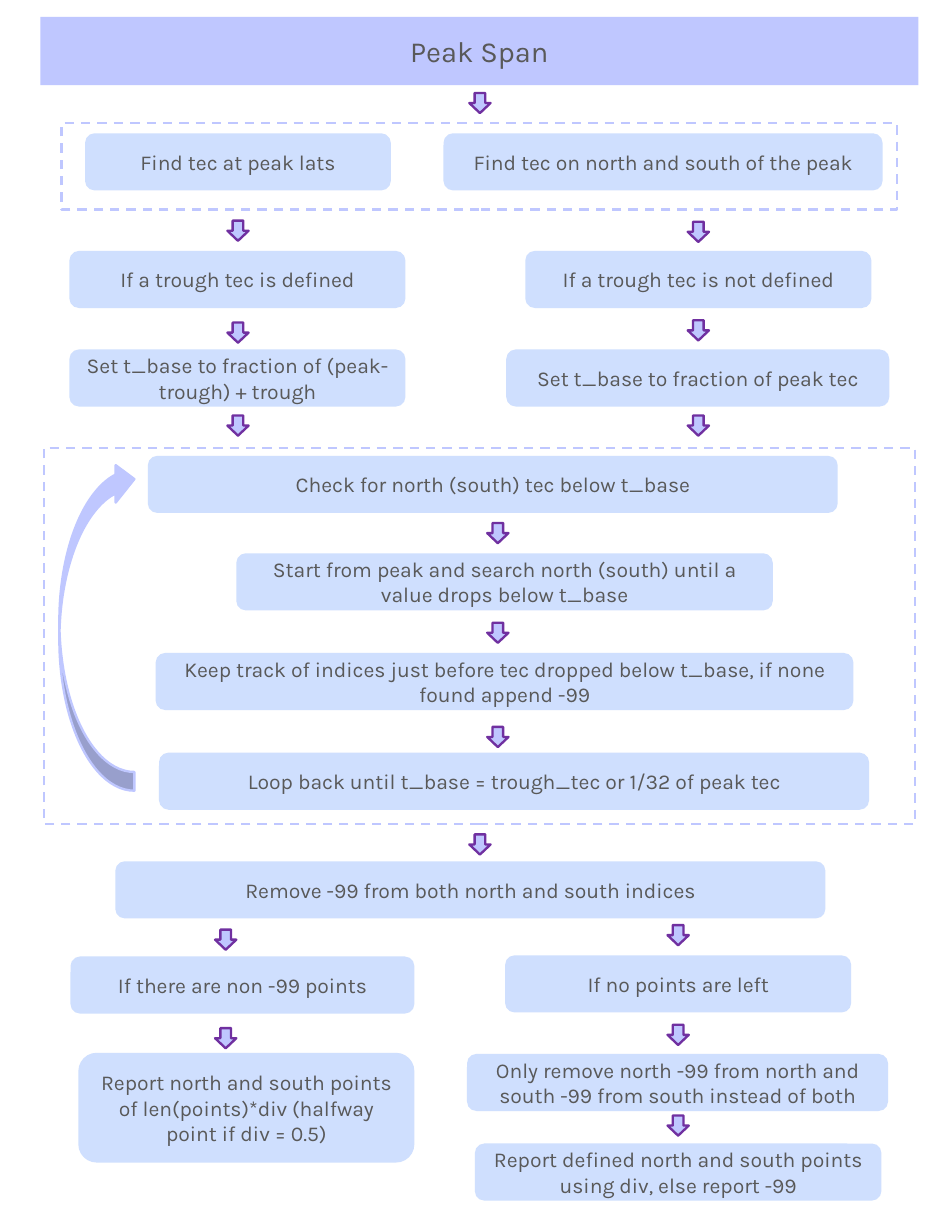
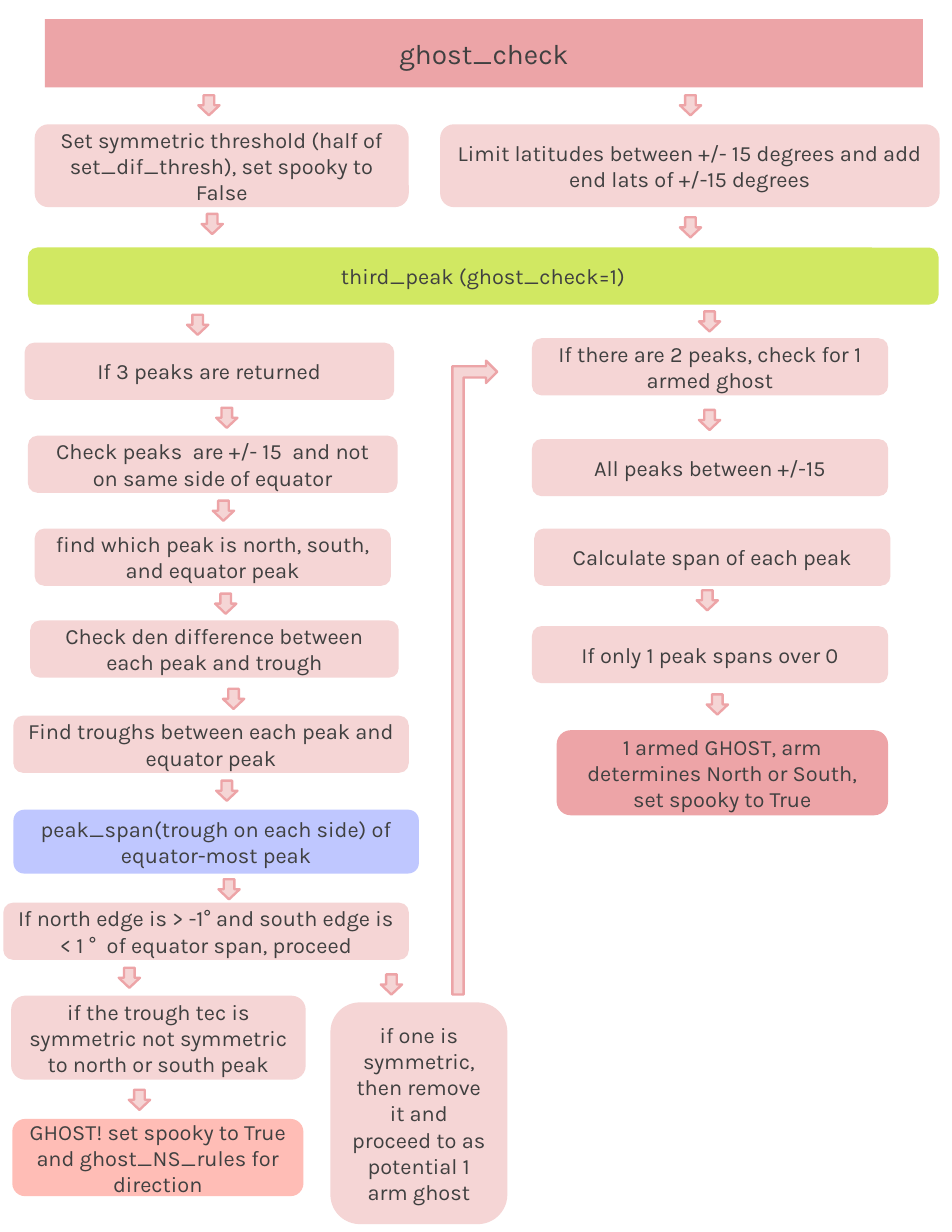
from dataclasses import dataclass

from lxml.etree import SubElement
from pptx import Presentation
from pptx.dml.color import RGBColor
from pptx.enum.dml import MSO_LINE
from pptx.enum.shapes import MSO_SHAPE as Kind
from pptx.enum.text import MSO_ANCHOR, MSO_AUTO_SIZE, PP_ALIGN
from pptx.oxml.ns import qn
from pptx.util import Inches, Pt

WIDE, TALL = Inches(8.5), Inches(11)
COLS, ROWS = 85, 110
TITLE_ONLY = 5


@dataclass(frozen=True)
class Look:
    ink: str
    band: str
    box: str
    arrow: str
    edge: str
    head: float
    body: float


@dataclass(frozen=True)
class Theme:
    font: str = "Karla"
    line: float = 1.5
    lilac: str = "BFC7FF"
    lime: str = "D1E862"
    rose: str = "EDA4A7"
    coral: str = "FFBDB6"
    span: Look = Look("595959", "BFC7FF", "CFDFFE", "BFC7FF", "7030A0", 18.7, 13.6)
    ghost: Look = Look("404040", "ECA4A7", "F5D5D5", "F5D5D5", "EDA4A7", 18, 14)


THEME = Theme()


@dataclass(frozen=True)
class Box:
    text: str
    col: float
    row: float
    wide: float
    tall: float = 5.1
    fill: str = ""


@dataclass(frozen=True)
class Lane:
    """Down arrows that share one column."""
    col: float
    rows: tuple[float, ...]


@dataclass(frozen=True)
class Frame:
    col: float
    row: float
    wide: float
    tall: float


@dataclass(frozen=True)
class Loop:
    """A long arrow that leads back up the page."""
    kind: Kind
    col: float
    row: float
    wide: float
    tall: float
    turn: int
    flip: bool = False


@dataclass(frozen=True)
class Chart:
    look: Look
    title: Box
    boxes: list[Box]
    lanes: list[Lane]
    frames: list[Frame]
    loop: Loop


def place(col: float, row: float, wide: float, tall: float) -> tuple[int, ...]:
    return (int(WIDE * col / COLS), int(TALL * row / ROWS),
            int(WIDE * wide / COLS), int(TALL * tall / ROWS))


def paint(shape, fill: str = "", edge: str = "") -> None:
    if fill:
        shape.fill.solid()
        shape.fill.fore_color.rgb = RGBColor.from_string(fill)
    else:
        shape.fill.background()
    if edge:
        shape.line.color.rgb = RGBColor.from_string(edge)
        shape.line.width = Pt(THEME.line)
    else:
        shape.line.fill.background()


def write(shape, text: str, size: float, ink: str) -> None:
    frame = shape.text_frame
    frame.text = text
    frame.word_wrap = True
    frame.auto_size = MSO_AUTO_SIZE.NONE
    frame.vertical_anchor = MSO_ANCHOR.MIDDLE
    para = frame.paragraphs[0]
    para.alignment = PP_ALIGN.CENTER
    font = para.runs[0].font
    font.name, font.size = THEME.font, Pt(size)
    font.color.rgb = RGBColor.from_string(ink)


def add(slide, kind: Kind, spot: tuple[int, ...], fill: str = "", edge: str = ""):
    shape = slide.shapes.add_shape(kind, *spot)
    shape.shadow.inherit = False
    paint(shape, fill, edge)
    return shape


def add_title(slide, box: Box, look: Look) -> None:
    """Turn the title placeholder into the rounded band."""
    title = slide.shapes.title
    title.left, title.top, title.width, title.height = place(
        box.col, box.row, box.wide, box.tall)
    geom = SubElement(title.element.spPr, qn("a:prstGeom"), prst="roundRect")
    SubElement(geom, qn("a:avLst"))
    paint(title, look.band)
    write(title, box.text, look.head, look.ink)


def add_box(slide, box: Box, look: Look) -> None:
    spot = place(box.col, box.row, box.wide, box.tall)
    shape = add(slide, Kind.ROUNDED_RECTANGLE, spot, box.fill or look.box)
    write(shape, box.text, look.body, look.ink)


def add_lane(slide, lane: Lane, look: Look) -> None:
    for row in lane.rows:
        add(slide, Kind.DOWN_ARROW, place(lane.col, row, 1.9, 1.8),
            look.arrow, look.edge)


def add_frame(slide, frame: Frame) -> None:
    spot = place(frame.col, frame.row, frame.wide, frame.tall)
    shape = add(slide, Kind.RECTANGLE, spot, edge=THEME.lilac)
    shape.line.dash_style = MSO_LINE.DASH


def add_loop(slide, loop: Loop, look: Look) -> None:
    spot = place(loop.col, loop.row, loop.wide, loop.tall)
    shape = add(slide, loop.kind, spot, look.arrow, look.band)
    shape.rotation = loop.turn
    if loop.flip:
        shape.element.spPr.find(qn("a:xfrm")).set("flipH", "1")


def add_chart(deck, chart: Chart) -> None:
    slide = deck.slides.add_slide(deck.slide_layouts[TITLE_ONLY])
    add_title(slide, chart.title, chart.look)
    for frame in chart.frames:
        add_frame(slide, frame)
    for box in chart.boxes:
        add_box(slide, box, chart.look)
    for lane in chart.lanes:
        add_lane(slide, lane, chart.look)
    add_loop(slide, chart.loop, chart.look)


SPAN = Chart(
    THEME.span,
    Box("Peak Span", 3.6, 1.5, 78.4, 6.1),
    [
        Box("Find tec at peak lats", 7.6, 11.9, 27.3),
        Box("Find tec on north and south of the peak", 39.6, 11.9, 39.2),
        Box("If a trough tec is defined", 6.2, 22.4, 30),
        Box("Set t_base to fraction of (peak-trough) + trough", 6.2, 31.2, 30),
        Box("If a trough tec is not defined", 46.9, 22.4, 30.9),
        Box("Set t_base to fraction of peak tec", 45.2, 31.2, 34.2),
        Box("Check for north (south) tec below t_base", 13.2, 40.7, 61.6),
        Box("Start from peak and search north (south) until a value drops "
            "below t_base", 21.1, 49.4, 47.9),
        Box("Keep track of indices just before tec dropped below t_base, "
            "if none found append -99", 13.9, 58.3, 62.3),
        Box("Loop back until t_base = trough_tec or 1/32 of peak tec",
            14.2, 67.2, 63.4),
        Box("Remove -99 from both north and south indices", 10.3, 76.9, 63.4),
        Box("If there are non -99 points", 6.3, 85.4, 30.7),
        Box("Report north and south points of len(points)*div (halfway point "
            "if div = 0.5)", 7, 94, 30, 9.8),
        Box("If no points are left", 45.1, 85.3, 30.9),
        Box("Only remove north -99 from north and south -99 from south "
            "instead of both", 41.7, 94.1, 37.6),
        Box("Report defined north and south points using div, else report -99",
            42.4, 102.1, 36.3),
    ],
    [
        Lane(41.9, (8.3, 74.5)),
        Lane(20.3, (19.7, 28.8, 37.1)),
        Lane(61.4, (19.8, 28.6, 37.1)),
        Lane(43.5, (46.7, 55.6, 64.9)),
        Lane(19.2, (83, 91.8)),
        Lane(59.6, (82.6, 91.5, 99.6)),
    ],
    [Frame(5.5, 11, 74.6, 7.7), Frame(3.9, 40, 77.8, 33.6)],
    Loop(Kind.CURVED_LEFT_ARROW, 5.3, 41.1, 6.7, 29.5, 180),
)

GHOST = Chart(
    THEME.ghost,
    Box("ghost_check", 4, 1.7, 78.4, 6.1),
    [
        Box("Set symmetric threshold (half of set_dif_thresh), set spooky "
            "to False", 3.1, 11.1, 33.4, 7.4),
        Box("Limit latitudes between +/- 15 degrees and add end lats of "
            "+/-15 degrees", 39.3, 11.1, 44.6, 7.4),
        Box("third_peak (ghost_check=1)", 2.5, 22.1, 81.3, fill=THEME.lime),
        Box("If 3 peaks are returned", 2.2, 30.6, 33),
        Box("Check peaks  are +/- 15  and not on same side of equator",
            2.5, 38.9, 33),
        Box("find which peak is north, south, and equator peak", 3.1, 47.2, 31.8),
        Box("Check den difference between each peak and trough", 2.7, 55.4, 32.9),
        Box("Find troughs between each peak and equator peak", 1.2, 63.9, 35.3),
        Box("peak_span(trough on each side) of equator-most peak",
            1.2, 72.3, 36.2, 5.7, THEME.lilac),
        Box("If north edge is > -1° and south edge is < 1 °  of equator span, "
            "proceed", 0.3, 80.6, 36.2),
        Box("if the trough tec is symmetric not symmetric to north or south "
            "peak", 1, 88.9, 26.3, 7.5),
        Box("GHOST! set spooky to True and ghost_NS_rules for direction",
            1.1, 99.9, 26, 6.9, THEME.coral),
        Box("if one is symmetric, then remove it and proceed to as potential "
            "1 arm ghost", 29.5, 89.5, 15.8, 19.8),
        Box("If there are 2 peaks, check for 1 armed ghost", 47.5, 30.2, 31.8),
        Box("All peaks between +/-15", 47.5, 39.2, 31.8),
        Box("Calculate span of each peak", 47.7, 47.2, 31.8),
        Box("If only 1 peak spans over 0", 47.5, 55.9, 31.8),
        Box("1 armed GHOST, arm determines North or South, set spooky to True",
            49.7, 65.2, 29.6, 7.6, THEME.rose),
    ],
    [
        Lane(17.7, (8.5,)), Lane(18, (19.1,)), Lane(60.7, (8.5, 19.4)),
        Lane(16.7, (28.1,)), Lane(19.3, (36.4, 69.7)), Lane(19, (44.7,)),
        Lane(19.2, (53,)), Lane(19.9, (61.5,)), Lane(19.5, (78.5,)),
        Lane(10.6, (86.4,)), Lane(11.5, (97.3,)), Lane(34, (87,)),
        Lane(62.4, (27.8, 36.6)), Lane(62.2, (52.7,)), Lane(63.1, (62,)),
    ],
    [],
    Loop(Kind.BENT_UP_ARROW, 14.1, 58.5, 56.6, 4, 90, flip=True),
)


def main() -> None:
    deck = Presentation()
    deck.slide_width, deck.slide_height = WIDE, TALL
    for chart in (SPAN, GHOST):
        add_chart(deck, chart)
    deck.save("out.pptx")


if __name__ == "__main__":
    main()
